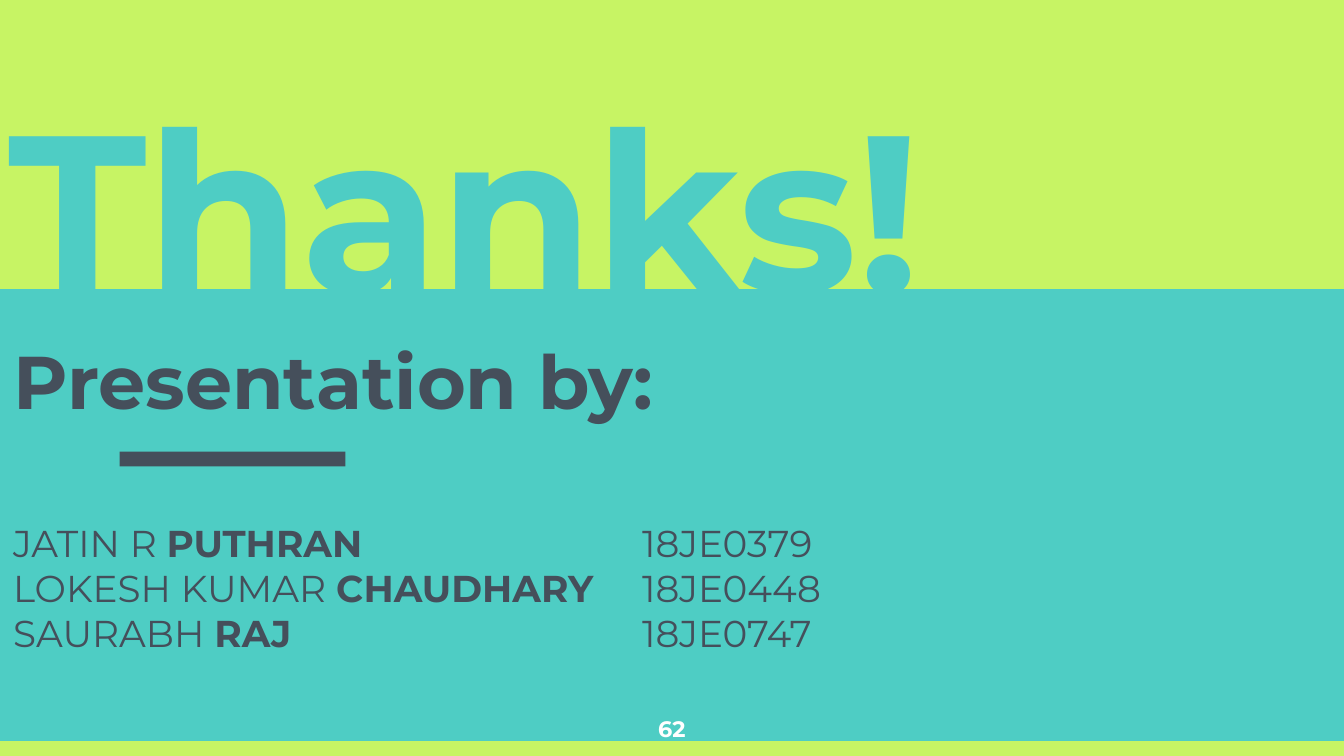
from lxml.etree import SubElement
from pptx import Presentation
from pptx.dml.color import RGBColor
from pptx.enum.shapes import MSO_SHAPE
from pptx.enum.text import MSO_ANCHOR, MSO_AUTO_SIZE, PP_ALIGN
from pptx.oxml.ns import qn
from pptx.util import Inches, Pt

COLORS = {"lime": "C7F464", "teal": "4ECDC4", "slate": "454F5B", "white": "FFFFFF"}
FONT = "Montserrat"
PAGE_WIDTH = 10
PAGE_HEIGHT = PAGE_WIDTH * 9 / 16
PRESENTERS = [
    ("JATIN R ", "PUTHRAN", "18JE0379"),
    ("LOKESH KUMAR ", "CHAUDHARY", "18JE0448"),
    ("SAURABH ", "RAJ", "18JE0747"),
]


def color(name):
    return RGBColor.from_string(COLORS[name])


def add_bar(page, left, top, width, height, fill):
    bar = page.shapes.add_shape(
        MSO_SHAPE.RECTANGLE, Inches(left), Inches(top), Inches(width), Inches(height))
    bar.shadow.inherit = False
    bar.fill.solid()
    bar.fill.fore_color.rgb = color(fill)
    bar.line.fill.background()


def prepare_frame(box, anchor=MSO_ANCHOR.TOP):
    frame = box.text_frame
    frame.word_wrap = True
    frame.auto_size = MSO_AUTO_SIZE.NONE
    frame.vertical_anchor = anchor
    frame.margin_left = frame.margin_right = Inches(0.1)
    frame.margin_top = frame.margin_bottom = Inches(0.1)
    return frame


def add_frame(page, left, top, width, height):
    return prepare_frame(page.shapes.add_textbox(
        Inches(left), Inches(top), Inches(width), Inches(height)))


def style(para, size, fill, bold=False, align=PP_ALIGN.LEFT):
    para.alignment = align
    para.font.name = FONT
    para.font.size = Pt(size)
    para.font.bold = bold
    para.font.color.rgb = color(fill)


def write_line(frame, text, *args, **kwargs):
    para = frame.paragraphs[0]
    para.text = text
    style(para, *args, **kwargs)


def place_title(page, left, top, width, height):
    title = page.shapes.title
    title.left, title.top = Inches(left), Inches(top)
    title.width, title.height = Inches(width), Inches(height)
    write_line(prepare_frame(title, MSO_ANCHOR.BOTTOM), "Thanks!", 120, "teal", bold=True)
    page.shapes._spTree.append(title._element)  # bring in front of the band


def add_presenters(page, left, top, width, height, number_offset):
    """List each presenter with the roll number at a shared tab stop."""
    frame = add_frame(page, left, top, width, height)
    for index, (given, family, number) in enumerate(PRESENTERS):
        para = frame.add_paragraph() if index else frame.paragraphs[0]
        tabs = SubElement(para._p.get_or_add_pPr(), qn("a:tabLst"))
        SubElement(tabs, qn("a:tab"), pos=str(Inches(number_offset)), algn="l")
        style(para, 20, "slate")
        for text, bold in ((given, False), (family, True), ("\t" + number, False)):
            span = para.add_run()
            span.text = text
            span.font.bold = bold


def build_thanks_page(deck):
    page = deck.slides.add_slide(deck.slide_layouts[5])
    page.background.fill.solid()
    page.background.fill.fore_color.rgb = color("teal")
    add_bar(page, 0, PAGE_HEIGHT - 0.11, PAGE_WIDTH, 0.11, "lime")
    add_bar(page, 0, 0, PAGE_WIDTH, 2.15, "lime")
    write_line(add_frame(page, 4.7, 5.22, 0.6, 0.34), "62", 12, "white",
               bold=True, align=PP_ALIGN.CENTER)
    place_title(page, -0.04, 1.07, 7.38, 1.55)
    write_line(add_frame(page, 0, 2.39, 5.5, 0.68), "Presentation by:", 40, "slate", bold=True)
    add_presenters(page, 0, 3.77, 7.29, 1.55, number_offset=4.68)
    add_bar(page, 0.89, 3.36, 1.68, 0.11, "slate")


def main():
    deck = Presentation()
    deck.slide_width, deck.slide_height = Inches(PAGE_WIDTH), Inches(PAGE_HEIGHT)
    build_thanks_page(deck)
    deck.save("out.pptx")


if __name__ == "__main__":
    main()
